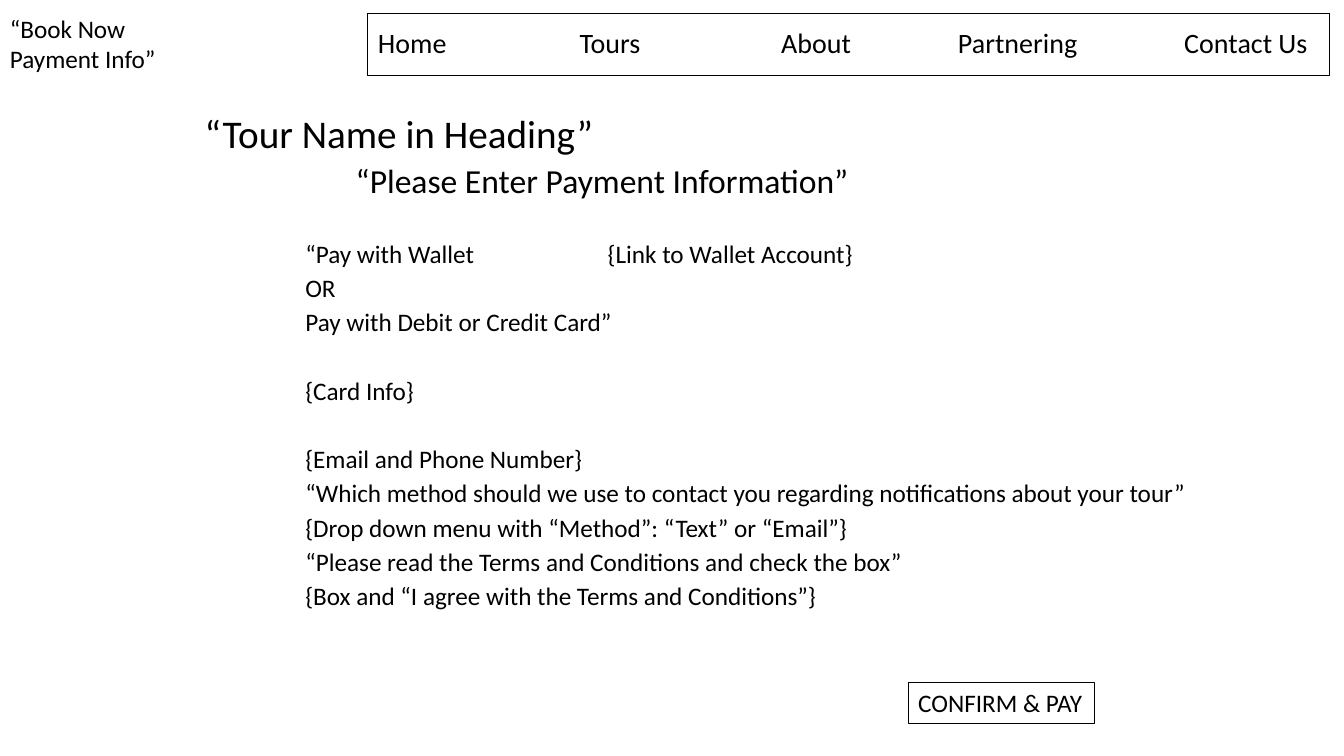
from dataclasses import dataclass

from pptx import Presentation
from pptx.dml.color import RGBColor
from pptx.enum.shapes import MSO_SHAPE
from pptx.enum.text import MSO_ANCHOR as ANCHOR, MSO_AUTO_SIZE as FIT, PP_ALIGN as ALIGN
from pptx.oxml.ns import qn
from pptx.util import Cm, Pt
from lxml.etree import SubElement


@dataclass(frozen=True)
class Theme:
    """Colours, font and type sizes of the slide."""
    ink: RGBColor = RGBColor(0, 0, 0)
    paper: RGBColor = RGBColor(255, 255, 255)
    font: str = "Calibri"
    heading: int = 28
    subheading: int = 24
    nav: int = 20
    text: int = 18
    rule: float = 0.75


THEME = Theme()
LINE_GAP = 5
BLOCK_GAP = 29.4
NAV_STEP = 5.08
PARTNERING_GAP = 71.9
FORM_LINES = [
    ("“Pay with Wallet\t\t{Link to Wallet Account}", BLOCK_GAP),
    ("OR", LINE_GAP),
    ("Pay with Debit or Credit Card”", LINE_GAP),
    ("{Card Info}", BLOCK_GAP),
    ("{Email and Phone Number}", BLOCK_GAP),
    ("“Which method should we use to contact you regarding notifications about your tour”", LINE_GAP),
    ("{Drop down menu with “Method”: “Text” or “Email”}", LINE_GAP),
    ("“Please read the Terms and Conditions and check the box”", LINE_GAP),
    ("{Box and “I agree with the Terms and Conditions”}", LINE_GAP),
]


def add_run(p, text, size=THEME.text, tracking=0):
    """Append a formatted run to a paragraph."""
    r = p.add_run()
    r.text = text
    r.font.name, r.font.size = THEME.font, Pt(size)
    r.font.color.rgb = THEME.ink
    if tracking:
        r.font._element.set("spc", str(round(tracking * 100)))


def add_text(tf, text, size=THEME.text, level=0, indent=0, before=0, spacing=1.0, tab=2.54):
    """Append a formatted, unbulleted paragraph and return it."""
    p = tf.paragraphs[0]
    if p.runs:
        p = tf.add_paragraph()
    p.level, p.alignment = level, ALIGN.LEFT
    p.space_before, p.line_spacing = Pt(before), spacing
    pPr = p._p.get_or_add_pPr()
    pPr.set("marL", str(Cm(indent)))
    pPr.set("indent", "0")
    pPr.set("defTabSz", str(Cm(tab)))
    SubElement(pPr, qn("a:buNone"))
    add_run(p, text, size=size)
    return p


def place(sp, box):
    """Move a shape to a box given in centimetres."""
    sp.left, sp.top, sp.width, sp.height = (Cm(v) for v in box)


def outline(sp):
    """Give a shape a thin line and no fill."""
    sp.fill.background()
    sp.line.color.rgb = THEME.ink
    sp.line.width = Pt(THEME.rule)


def page_label(slide, box):
    """Add the page name in the corner."""
    tf = slide.shapes.add_textbox(*(Cm(v) for v in box)).text_frame
    tf.word_wrap = False
    for line in ("“Book Now", "Payment Info”"):
        add_text(tf, line)


def nav_bar(slide, box):
    """Fill the title with the navigation entries."""
    sp = slide.shapes.title
    place(sp, box)
    outline(sp)
    tf = sp.text_frame
    tf.auto_size, tf.vertical_anchor = FIT.NONE, ANCHOR.MIDDLE
    p = add_text(tf, "Home\tTours\tAbout", size=THEME.nav, spacing=0.9, tab=NAV_STEP)
    add_run(p, " ", size=THEME.nav, tracking=PARTNERING_GAP)
    add_run(p, "Partnering\tContact Us", size=THEME.nav)


def payment_form(slide, box):
    """Fill the body with the headings and payment fields."""
    sp = slide.placeholders[1]
    place(sp, box)
    tf = sp.text_frame
    tf.auto_size, tf.vertical_anchor = FIT.NONE, ANCHOR.TOP
    add_text(tf, "“Tour Name in Heading”", size=THEME.heading, indent=2.54,
             before=10, spacing=0.9)
    add_text(tf, "“Please Enter Payment Information”", size=THEME.subheading,
             level=1, indent=6.35, before=LINE_GAP, spacing=0.9)
    for line, gap in FORM_LINES:
        add_text(tf, line, level=4, indent=5.08, before=gap, spacing=0.9)


def confirm_button(slide, box):
    """Add the outlined confirm button."""
    sp = slide.shapes.add_shape(MSO_SHAPE.RECTANGLE, *(Cm(v) for v in box))
    sp.shadow.inherit = False
    outline(sp)
    tf = sp.text_frame
    tf.word_wrap, tf.vertical_anchor = False, ANCHOR.TOP
    add_text(tf, "CONFIRM & PAY")


def main():
    """Build and save the payment page slide."""
    prs = Presentation()
    prs.slide_width, prs.slide_height = Cm(33.87), Cm(19.05)
    slide = prs.slides.add_slide(prs.slide_layouts[1])
    slide.background.fill.solid()
    slide.background.fill.fore_color.rgb = THEME.paper
    payment_form(slide, (2.36, 2.77, 29.21, 12.9))
    nav_bar(slide, (9.27, 0.33, 24.24, 1.57))
    page_label(slide, (0, 0.2, 4.22, 2.57))
    confirm_button(slide, (22.89, 17.2, 4.69, 1.04))
    prs.save("out.pptx")


if __name__ == "__main__":
    main()
